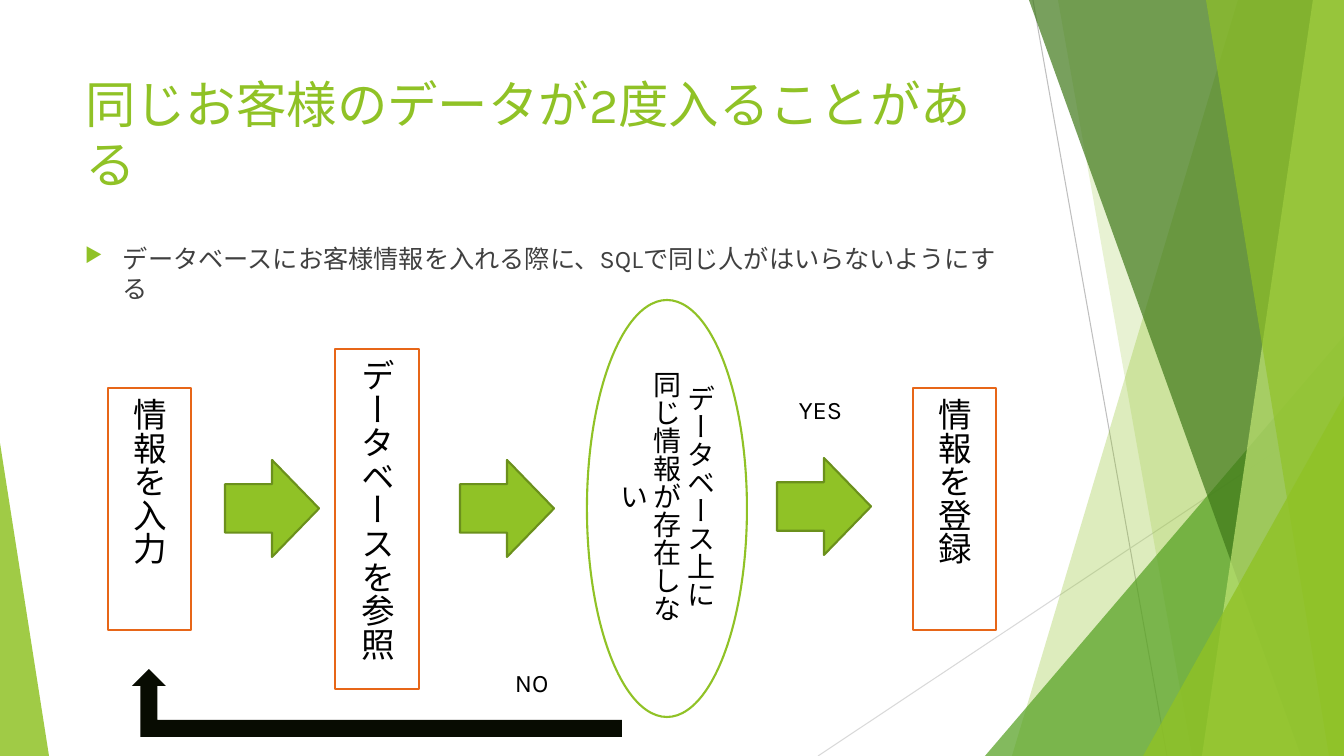
from lxml import etree
from pptx import Presentation
from pptx.dml.color import RGBColor
from pptx.enum.shapes import MSO_CONNECTOR, MSO_SHAPE
from pptx.enum.text import MSO_ANCHOR, PP_ALIGN
from pptx.oxml import parse_xml
from pptx.oxml.ns import nsdecls, qn
from pptx.util import Pt

# Content
TITLE = "同じお客様のデータが2度入ることがある"
BULLET = "データベースにお客様情報を入れる際に、SQLで同じ人がはいらないようにする"
# kind, left, top, width, height, font size, outline, lines of text
STEPS = [
    (MSO_SHAPE.RECTANGLE, 108, 388, 83, 242, 24, "orange", ["情報を入力"]),
    (MSO_SHAPE.RECTANGLE, 335, 349, 84, 340, 24, "orange", ["データベースを参照"]),
    (MSO_SHAPE.OVAL, 587, 300, 160, 417, 20, "green",
     ["データベース上に", "同じ情報が存在しない"]),
    (MSO_SHAPE.RECTANGLE, 913, 388, 83, 242, 24, "orange", ["情報を登録"]),
]
ARROWS = [(225, 460), (460, 460), (777, 458)]  # left, top
ARROW_SIZE = (94, 97)
RETURN_ARROW = (132, 669, 490, 68)
LABELS = [("YES", 789, 389), ("NO", 505, 662)]

# Background: lines, then facets as corner points, colour and opacity
WIDTH, HEIGHT = 1344, 756
RAYS = [(1033, 0, 1167, HEIGHT, "gray"), (WIDTH, 406, 818, HEIGHT, "silver")]
FACETS = [
    ([(1238, 0), (WIDTH, 0), (WIDTH, HEIGHT), (1012, HEIGHT)], "green", 30),
    ([(1058, 0), (WIDTH, 0), (WIDTH, HEIGHT), (1192, HEIGHT)], "green", 20),
    ([(WIDTH, 336), (WIDTH, HEIGHT), (985, HEIGHT)], "leaf", 72),
    ([(1029, 0), (WIDTH, 0), (WIDTH, HEIGHT), (1301, HEIGHT)], "forest", 70),
    ([(1313, 0), (WIDTH, 0), (WIDTH, HEIGHT), (1202, HEIGHT)], "lime", 70),
    ([(1206, 0), (WIDTH, 0), (WIDTH, HEIGHT), (1329, HEIGHT)], "green", 65),
    ([(WIDTH, 396), (WIDTH, HEIGHT), (1143, HEIGHT)], "green", 80),
    ([(0, 443), (49, HEIGHT), (0, HEIGHT)], "green", 85),
]
COLORS = {
    "green": "90C226", "leaf": "54A021", "forest": "3F7819", "lime": "C0E474",
    "olive": "6B901C", "orange": "E76618", "white": "FFFFFF", "black": "000000",
    "ink": "080C02", "text": "404040", "gray": "BFBFBF", "silver": "D9D9D9",
}
FONT = "Karla"
SCALE = 914400 / 100.8


def px(*lengths):
    return [round(length * SCALE) for length in lengths]


def color(name):
    return RGBColor.from_string(COLORS[name])


def paint(shape, fill, line=None):
    shape.shadow.inherit = False
    shape.fill.solid()
    shape.fill.fore_color.rgb = color(fill)
    if line:
        shape.line.color.rgb = color(line)
        shape.line.width = Pt(1.5)
    else:
        shape.line.fill.background()


def write(frame, lines, size, ink, align=PP_ALIGN.LEFT):
    frame.word_wrap = True
    for index, line in enumerate(lines):
        paragraph = frame.add_paragraph() if index else frame.paragraphs[0]
        paragraph.text = line
        paragraph.alignment = align
        paragraph.font.name = FONT
        paragraph.font.size = Pt(size)
        paragraph.font.color.rgb = color(ink)


presentation = Presentation()
presentation.slide_width, presentation.slide_height = px(WIDTH, HEIGHT)
slide = presentation.slides.add_slide(presentation.slide_layouts[5])
shapes = slide.shapes

# Background rays and translucent facets
for x1, y1, x2, y2, ink in RAYS:
    ray = shapes.add_connector(MSO_CONNECTOR.STRAIGHT, *px(x1, y1, x2, y2))
    ray.line.color.rgb = color(ink)
    ray.line.width = Pt(0.75)
    etree.SubElement(ray._element.spPr, qn("a:effectLst"))
for points, fill, opacity in FACETS:
    builder = shapes.build_freeform(*points[0], scale=SCALE)
    builder.add_line_segments(points[1:], close=True)
    facet = builder.convert_to_shape()
    paint(facet, fill)
    tint = facet._element.spPr.find(qn("a:solidFill"))[0]
    etree.SubElement(tint, qn("a:alpha"), val=str(opacity * 1000))

# Title
title = shapes.title
title.left, title.top, title.width, title.height = px(75, 68, 948, 145)
write(title.text_frame, [TITLE], 36, "green")
title.text_frame.vertical_anchor = MSO_ANCHOR.TOP

# Bullet
body = shapes.add_textbox(*px(75, 238, 948, 427))
write(body.text_frame, [BULLET], 18, "text")
paragraph = body.text_frame.paragraphs[0]
paragraph.space_before = Pt(10)
properties = paragraph._p.get_or_add_pPr()
indent = px(38)[0]
properties.set("marL", str(indent))
properties.set("indent", str(-indent))
marks = (
    f'<a:buClr {nsdecls("a")}><a:srgbClr val="{COLORS["green"]}"/></a:buClr>',
    f'<a:buSzPct {nsdecls("a")} val="80000"/>',
    f'<a:buChar {nsdecls("a")} char="▶"/>',
)
for mark in marks:
    properties.insert_element_before(parse_xml(mark), "a:tabLst", "a:defRPr")

# Flow steps with vertical text
for kind, left, top, width, height, size, outline, lines in STEPS:
    step = shapes.add_shape(kind, *px(left, top, width, height))
    paint(step, "white", outline)
    write(step.text_frame, lines, size, "black", PP_ALIGN.CENTER)
    step.text_frame.vertical_anchor = MSO_ANCHOR.MIDDLE
    step.text_frame._txBody.bodyPr.set("vert", "eaVert")

# Arrows between steps, and the way back
for left, top in ARROWS:
    arrow = shapes.add_shape(MSO_SHAPE.RIGHT_ARROW, *px(left, top, *ARROW_SIZE))
    paint(arrow, "green", "olive")
way_back = shapes.add_shape(MSO_SHAPE.BENT_UP_ARROW, *px(*RETURN_ARROW))
paint(way_back, "ink")
way_back._element.spPr.find(qn("a:xfrm")).set("flipH", "1")

# Branch labels
for label, left, top in LABELS:
    box = shapes.add_textbox(*px(left, top, 70, 40))
    write(box.text_frame, [label], 18, "black")

presentation.save("out.pptx")
